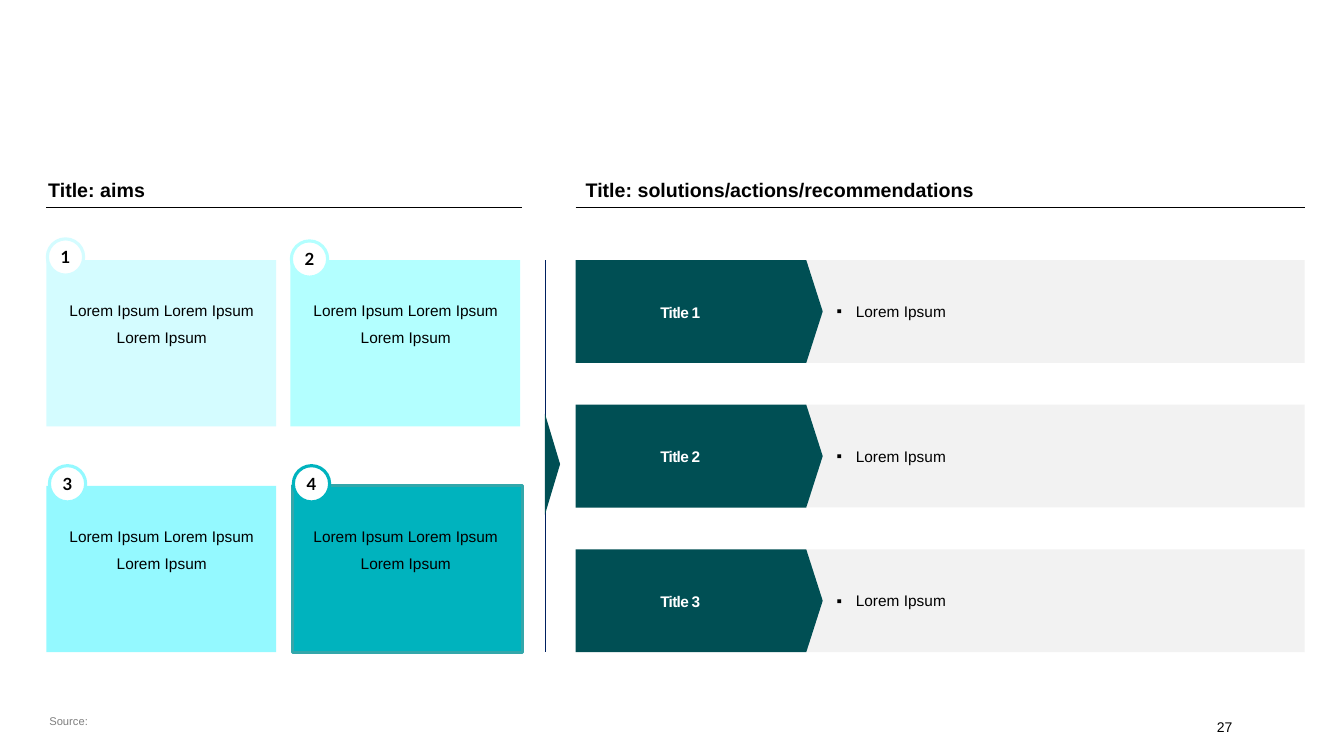
from lxml import etree
from pptx import Presentation
from pptx.dml.color import RGBColor
from pptx.enum.shapes import MSO_CONNECTOR, MSO_SHAPE
from pptx.enum.text import MSO_ANCHOR, PP_ALIGN
from pptx.oxml.ns import qn
from pptx.util import Inches, Pt

RECT, OVAL = MSO_SHAPE.RECTANGLE, MSO_SHAPE.OVAL
PENTAGON, TRIANGLE = MSO_SHAPE.PENTAGON, MSO_SHAPE.ISOSCELES_TRIANGLE
STRAIGHT = MSO_CONNECTOR.STRAIGHT
TOP, MIDDLE, BOTTOM = MSO_ANCHOR.TOP, MSO_ANCHOR.MIDDLE, MSO_ANCHOR.BOTTOM
LEFT, CENTER = PP_ALIGN.LEFT, PP_ALIGN.CENTER

BLACK = RGBColor(0x00, 0x00, 0x00)
WHITE = RGBColor(0xFF, 0xFF, 0xFF)
GRAY = RGBColor(0x7F, 0x7F, 0x7F)
LIGHT_GRAY = RGBColor(0xF2, 0xF2, 0xF2)
NAVY = RGBColor(0x00, 0x20, 0x60)
DARK_TEAL = RGBColor(0x00, 0x4F, 0x54)
TEAL_EDGE = RGBColor(0x33, 0xA7, 0xAB)
CYAN_1 = RGBColor(0xD4, 0xFC, 0xFF)
CYAN_2 = RGBColor(0xB3, 0xFF, 0xFF)
CYAN_3 = RGBColor(0x94, 0xF9, 0xFF)
CYAN_4 = RGBColor(0x00, 0xB3, 0xBE)

prs = Presentation()
prs.slide_width, prs.slide_height = Inches(13.33), Inches(7.5)
s = prs.slides.add_slide(prs.slide_layouts[6])


def add_shape(kind, x, y, w, h, fill, line=None):
    sp = s.shapes.add_shape(kind, Inches(x), Inches(y), Inches(w), Inches(h))
    sp.shadow.inherit = False
    sp.fill.solid()
    sp.fill.fore_color.rgb = fill
    if line is None:
        sp.line.fill.background()
    else:
        sp.line.color.rgb = line
        sp.line.width = Pt(2.25)
    return sp


def write(text, sp=None, box=None, size=11, color=BLACK, bold=False, font="Arial",
          align=LEFT, anchor=TOP, inset_x=0.1, inset_y=0.05, spacing=None, bullet=None):
    if sp is None:
        sp = s.shapes.add_textbox(*[Inches(v) for v in box])
    tf = sp.text_frame
    tf.word_wrap = True
    tf.vertical_anchor = anchor
    tf.margin_left = tf.margin_right = Inches(inset_x)
    tf.margin_top = tf.margin_bottom = Inches(inset_y)
    for i, line in enumerate(text.split("\n")):
        p = tf.add_paragraph() if i else tf.paragraphs[0]
        p.alignment = align
        if i:
            p.space_before = Pt(6)
        if bullet:
            pPr = p._p.get_or_add_pPr()
            pPr.set("marL", str(Inches(0.39)))
            pPr.set("indent", str(Inches(-0.19)))
            etree.SubElement(pPr, qn("a:buFont")).set("typeface", "Arial")
            etree.SubElement(pPr, qn("a:buChar")).set("char", bullet)
        r = p.add_run()
        r.text = line
        r.font.name, r.font.size, r.font.bold = font, Pt(size), bold
        r.font.color.rgb = color
        if spacing:
            r._r.get_or_add_rPr().set("spc", str(int(spacing * 100)))


write("27", box=(11.97, 7, 0.61, 0.3), size=10, anchor=BOTTOM, inset_y=0)
write("Source:", box=(0.39, 7, 4.08, 0.3), size=8, color=GRAY, anchor=MIDDLE, inset_y=0)
write("Title: aims", box=(0.38, 1.72, 4.8, 0.31), size=14, bold=True)
write("Title: solutions/actions/recommendations", box=(5.71, 1.72, 7.15, 0.31),
      size=14, bold=True)

rules = [
    (0.46, 2.06, 5.18, 2.06, BLACK),
    (5.71, 2.06, 12.94, 2.06, BLACK),
    (5.41, 2.58, 5.41, 6.47, NAVY),
]
for x1, y1, x2, y2, color in rules:
    rule = s.shapes.add_connector(STRAIGHT, Inches(x1), Inches(y1), Inches(x2), Inches(y2))
    rule.line.color.rgb = color
    rule.line.width = Pt(0.75)
    etree.SubElement(rule._element.spPr, qn("a:effectLst"))

pointer = add_shape(TRIANGLE, 4.98, 4.53, 1, 0.15, DARK_TEAL)
pointer.rotation = 90

aims = [
    (0.46, 2.58, 0.47, 2.37, CYAN_1, None),
    (2.88, 2.58, 2.89, 2.39, CYAN_2, None),
    (0.46, 4.82, 0.49, 4.62, CYAN_3, None),
    (2.9, 4.82, 2.91, 4.62, CYAN_4, TEAL_EDGE),
]
for i, (x, y, badge_x, badge_y, color, edge) in enumerate(aims):
    add_shape(RECT, x, y, 2.28, 1.65, color, edge)
    badge = add_shape(OVAL, badge_x, badge_y, 0.36, 0.36, WHITE, color)
    write(str(i + 1), sp=badge, size=12, bold=True, font="Lato", align=CENTER,
          anchor=MIDDLE, inset_x=0, inset_y=0)
    write("Lorem Ipsum Lorem Ipsum\nLorem Ipsum",
          box=(0.56 + 2.42 * (i % 2), y + 0.36, 2.09, 0.66), align=CENTER)

for i in range(3):
    y = 2.58 + 1.435 * i
    bar = add_shape(RECT, 8, y, 4.94, 1.02, LIGHT_GRAY)
    write("Lorem Ipsum", sp=bar, anchor=MIDDLE, bullet="▪")
    tag = add_shape(PENTAGON, 5.71, y, 2.45, 1.02, DARK_TEAL)
    tag.adjustments[0] = 0.16
    write(f"Title {i + 1}", box=(6.45, y + 0.36, 1.55, 0.31), color=WHITE, bold=True,
          anchor=MIDDLE, spacing=-0.5)

prs.save("out.pptx")
